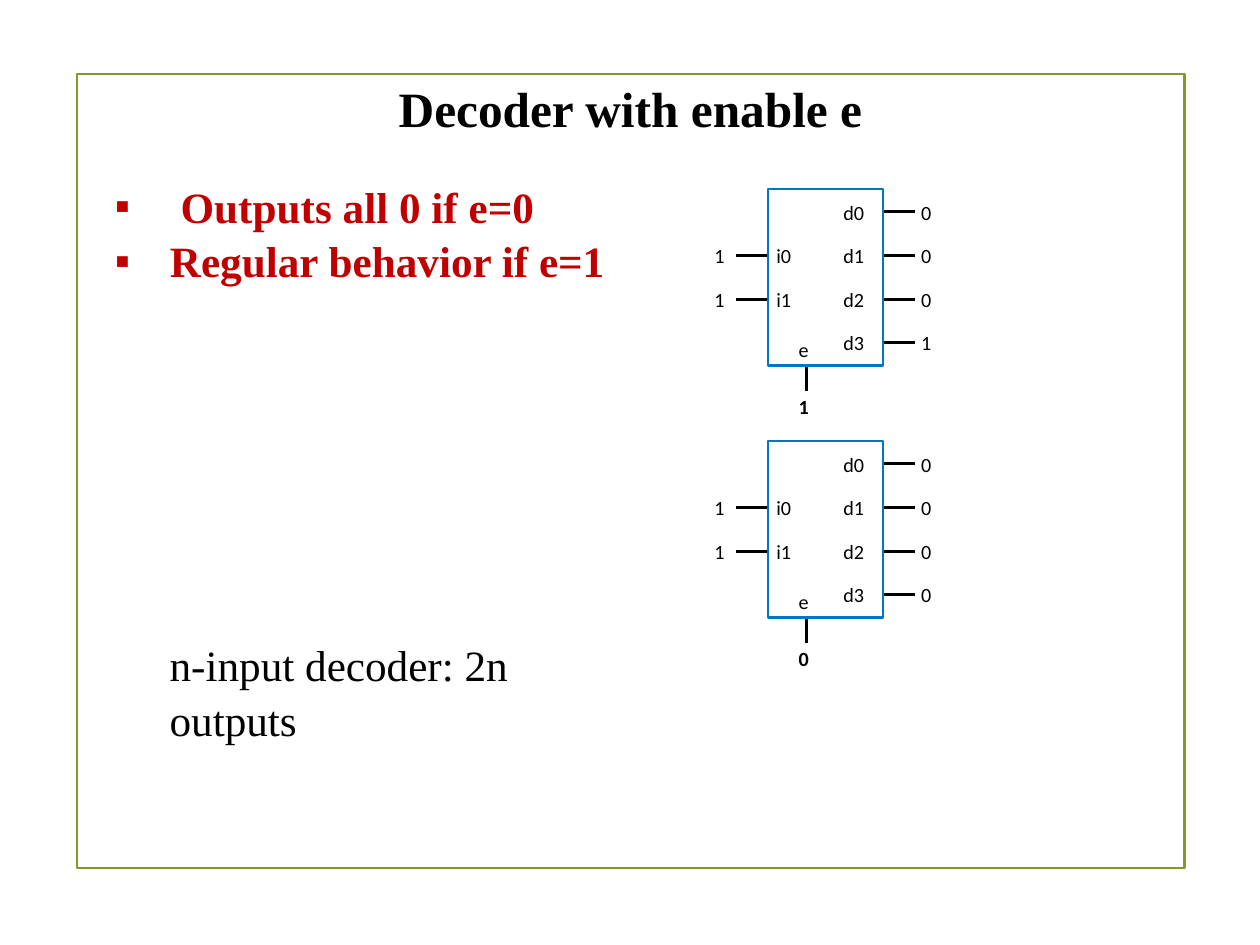
"""Build a slide that shows two decoders with an enable input."""
from dataclasses import dataclass

from lxml.etree import SubElement
from pptx import Presentation
from pptx.dml.color import RGBColor
from pptx.enum.shapes import MSO_CONNECTOR, MSO_SHAPE
from pptx.enum.text import MSO_ANCHOR, MSO_AUTO_SIZE, PP_ALIGN
from pptx.oxml.ns import qn
from pptx.util import Cm, Pt

BLACK = RGBColor(0x00, 0x00, 0x00)
RED = RGBColor(0xC0, 0x00, 0x00)
GREEN = RGBColor(0x83, 0x99, 0x2A)
BLUE = RGBColor(0x00, 0x78, 0xC1)
SERIF = "Times New Roman"
SANS = "Calibri"

BOX_LEFT, BOX_WIDTH, BOX_HEIGHT = 15.48, 2.32, 3.56
BOX_RIGHT = BOX_LEFT + BOX_WIDTH
PIN_LENGTH = 0.64
FIRST_PIN, PIN_PITCH = 0.46, 0.88
ENABLE_X, ENABLE_LENGTH = 16.26, 0.51
LABEL_HEIGHT = 0.48


@dataclass
class Decoder:
    top: float
    inputs: str
    outputs: str
    enable: str


DECODERS = [
    Decoder(top=3.81, inputs="11", outputs="0001", enable="1"),
    Decoder(top=8.89, inputs="11", outputs="0000", enable="0"),
]


def write_text(shape, lines: list[str], *, size: float, font: str = SERIF,
               color: RGBColor = BLACK, bold: bool = False,
               align: PP_ALIGN = PP_ALIGN.LEFT, anchor: MSO_ANCHOR = MSO_ANCHOR.TOP,
               inset: bool = True, wrap: bool = True, spacing: float = 1.0,
               bullet: str = "", indent: float = 0) -> None:
    frame = shape.text_frame
    frame.word_wrap = wrap
    frame.auto_size = MSO_AUTO_SIZE.NONE
    frame.vertical_anchor = anchor
    if not inset:
        frame.margin_left = frame.margin_right = 0
        frame.margin_top = frame.margin_bottom = 0
    frame.text = "\n".join(lines)
    for paragraph in frame.paragraphs:
        if bullet:
            properties = paragraph._p.get_or_add_pPr()
            properties.set("marL", str(Cm(indent)))
            properties.set("indent", str(-Cm(indent)))
            SubElement(properties, qn("a:buChar")).set("char", bullet)
        paragraph.alignment = align
        paragraph.line_spacing = spacing
        paragraph.space_before = Pt(0)
        paragraph.font.size = Pt(size)
        paragraph.font.name = font
        paragraph.font.bold = bold
        paragraph.font.color.rgb = color


def place(shape, left: float, top: float, width: float, height: float) -> None:
    shape.left, shape.top = Cm(left), Cm(top)
    shape.width, shape.height = Cm(width), Cm(height)


def add_outline(slide, left: float, top: float, width: float, height: float,
                color: RGBColor) -> None:
    shape = slide.shapes.add_shape(
        MSO_SHAPE.RECTANGLE, Cm(left), Cm(top), Cm(width), Cm(height))
    shape.shadow.inherit = False
    shape.fill.background()
    shape.line.color.rgb = color
    shape.line.width = Pt(1.25)


def add_wire(slide, start_x: float, start_y: float, end_x: float, end_y: float) -> None:
    wire = slide.shapes.add_connector(
        MSO_CONNECTOR.STRAIGHT, Cm(start_x), Cm(start_y), Cm(end_x), Cm(end_y))
    wire.line.color.rgb = BLACK
    wire.line.width = Pt(1.63)
    SubElement(wire._element.spPr, qn("a:effectLst"))


def add_label(slide, text: str, left: float, middle: float, *, width: float = 0.23,
              bold: bool = False) -> None:
    label = slide.shapes.add_textbox(
        Cm(left), Cm(middle - LABEL_HEIGHT / 2), Cm(width), Cm(LABEL_HEIGHT))
    write_text(label, [text], size=11.5, font=SANS, bold=bold, inset=False, wrap=False)


def add_decoder(slide, decoder: Decoder) -> None:
    pins = [decoder.top + FIRST_PIN + PIN_PITCH * row for row in range(4)]
    bottom = decoder.top + BOX_HEIGHT
    for number, (middle, value) in enumerate(zip(pins, decoder.outputs)):
        add_wire(slide, BOX_RIGHT, middle, BOX_RIGHT + PIN_LENGTH, middle)
        add_label(slide, f"d{number}", 17.0, middle, width=0.46)
        add_label(slide, value, 18.57, middle)
    for number, (middle, value) in enumerate(zip(pins[1:3], decoder.inputs)):
        add_wire(slide, BOX_LEFT - PIN_LENGTH, middle, BOX_LEFT, middle)
        add_label(slide, f"i{number}", 15.65, middle, width=0.3)
        add_label(slide, value, 14.4, middle)
    add_wire(slide, ENABLE_X, bottom + ENABLE_LENGTH, ENABLE_X, bottom)
    add_label(slide, "e", 16.1, bottom - 0.32)
    add_label(slide, decoder.enable, 16.1, bottom + 0.83, bold=True)
    add_outline(slide, BOX_LEFT, decoder.top, BOX_WIDTH, BOX_HEIGHT, BLUE)


def main() -> None:
    presentation = Presentation()
    presentation.slide_width, presentation.slide_height = Cm(25.4), Cm(19.05)
    slide = presentation.slides.add_slide(presentation.slide_layouts[1])
    add_outline(slide, 1.55, 1.5, 22.33, 16.0, GREEN)

    title = slide.shapes.title
    place(title, 1.7, 1.57, 22.02, 1.22)
    write_text(title, ["Decoder with enable e"], size=28.2, bold=True,
               align=PP_ALIGN.CENTER, anchor=MSO_ANCHOR.MIDDLE, inset=False)

    body = slide.placeholders[1]
    place(body, 2.06, 3.45, 12.32, 2.36)
    write_text(body, [" Outputs all 0 if e=0", "Regular behavior if e=1"], size=24.7,
               color=RED, bold=True, spacing=1.05, bullet="▪", indent=1.11)

    note = slide.shapes.add_textbox(Cm(3.17), Cm(12.7), Cm(9.8), Cm(2.36))
    write_text(note, ["n-input decoder: 2n outputs"], size=24.7, spacing=1.05)

    for decoder in DECODERS:
        add_decoder(slide, decoder)
    presentation.save("out.pptx")


if __name__ == "__main__":
    main()
